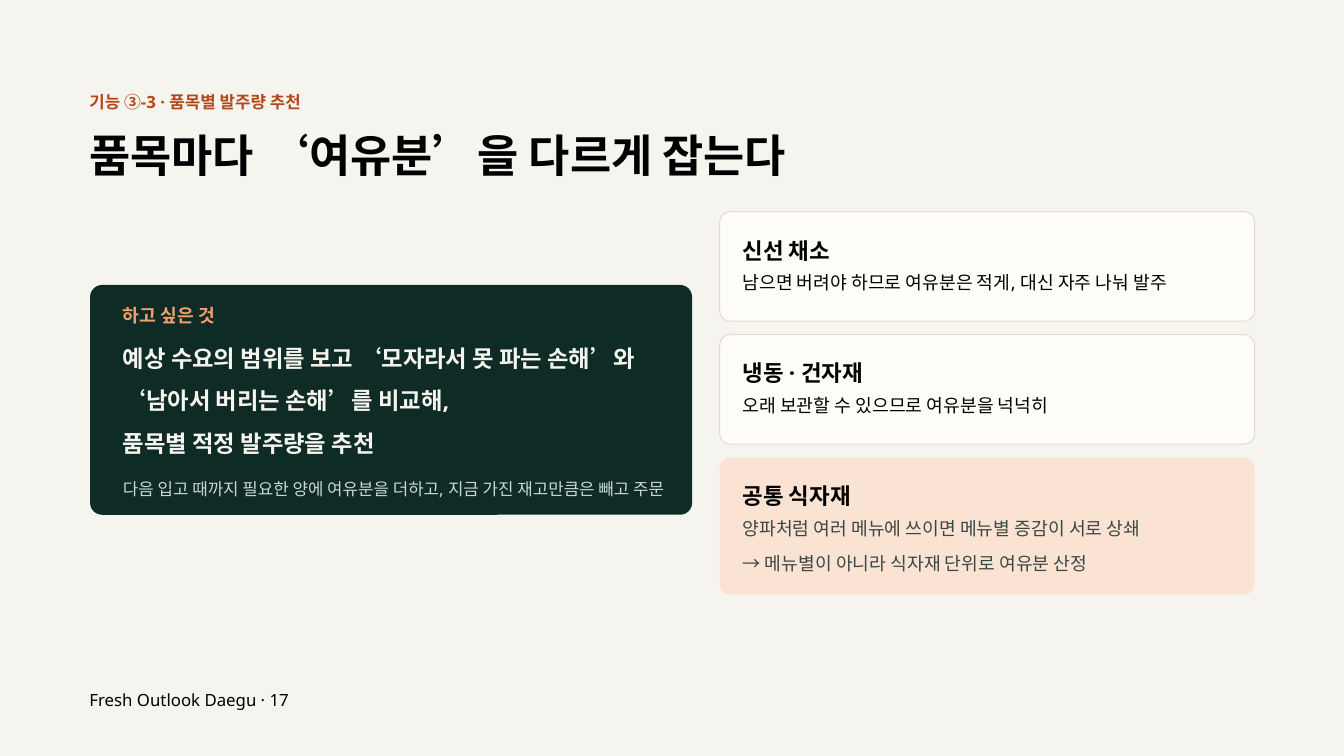
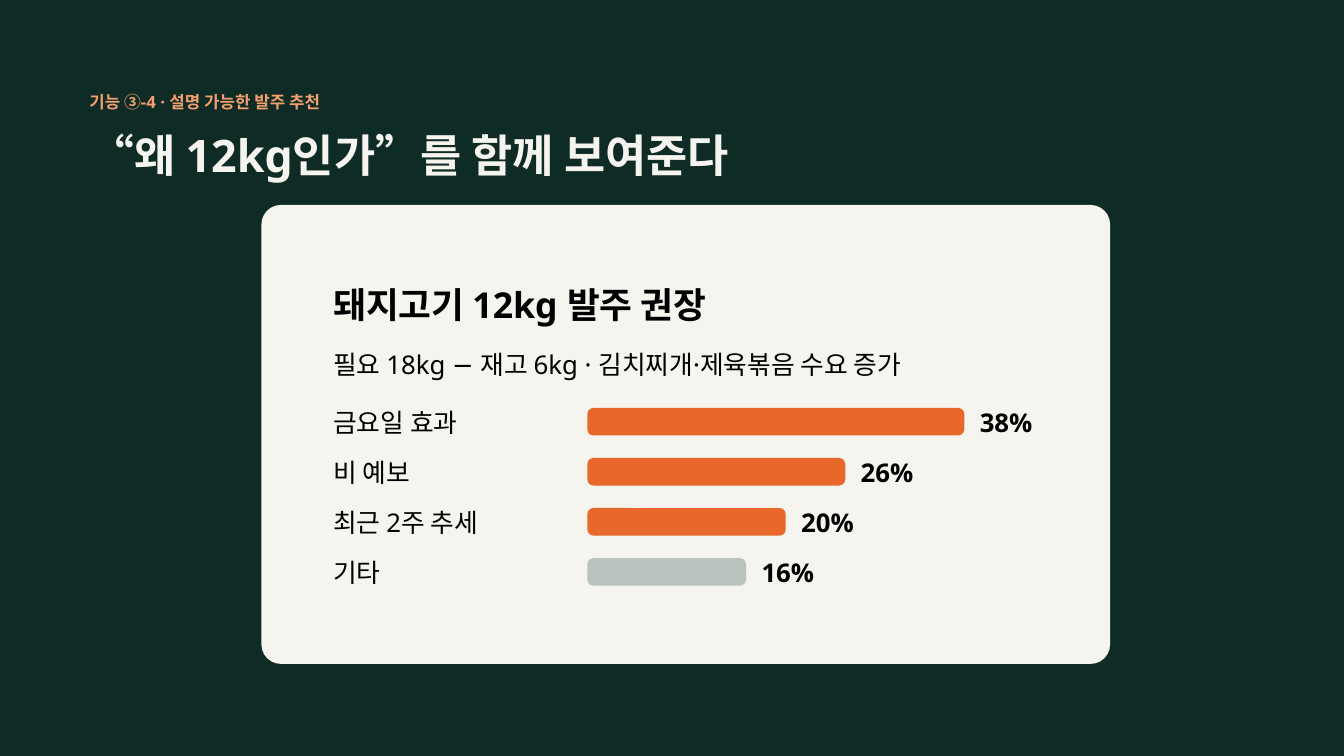
"""Builds two slides on recommended order quantities for restaurant ingredients."""
from pptx import Presentation
from pptx.dml.color import RGBColor
from pptx.enum.shapes import MSO_SHAPE
from pptx.enum.text import MSO_AUTO_SIZE
from pptx.util import Inches, Pt

ROUNDED = MSO_SHAPE.ROUNDED_RECTANGLE
GROW = MSO_AUTO_SIZE.SHAPE_TO_FIT_TEXT

FONT = "Noto Sans"
BLACK, PINE, IVORY = "000000", "0F2B26", "F6F4EE"
RUST, PEACH, ORANGE, SAGE = "B4481A", "F2A06E", "E8672A", "B9C4BF"
MIST, SLATE = "C9D8D2", "3A4743"
CREAM, BLUSH, SAND = "FFFDF8", "FBE3D3", "E2DDD0"

MARGIN, BAND_WIDTH = 1.33, 17.85

GOAL = [
    # top, height, lines, size, leading, colour, bold
    (4.4, 0.42, ["하고 싶은 것"], 19.5, 32.8, PEACH, True),
    (4.92, 2.41, ["예상 수요의 범위를 보고 ‘모자라서 못 파는 손해’와",
                  "‘남아서 버리는 손해’를 비교해,",
                  "품목별 적정 발주량을 추천"], 25, 45, IVORY, True),
    (6.94, 0.42, ["다음 입고 때까지 필요한 양에 여유분을 더하고, 지금 가진 재고만큼은 빼고 주문"],
     18, 34.6, MIST, False),
]

INGREDIENTS = [
    ("신선 채소", ["남으면 버려야 하므로 여유분은 적게, 대신 자주 나눠 발주"], CREAM, SAND, BLACK),
    ("냉동 · 건자재", ["오래 보관할 수 있으므로 여유분을 넉넉히"], CREAM, SAND, BLACK),
    ("공통 식자재", ["양파처럼 여러 메뉴에 쓰이면 메뉴별 증감이 서로 상쇄",
                 "→ 메뉴별이 아니라 식자재 단위로 여유분 산정"], BLUSH, None, SLATE),
]

REASONS = [
    ("금요일 효과", 38, ORANGE),
    ("비 예보", 26, ORANGE),
    ("최근 2주 추세", 20, ORANGE),
    ("기타", 16, SAGE),
]


def colour(code):
    return RGBColor.from_string(code)


def add_text(slide, box, lines, size, leading, ink=BLACK, bold=False):
    frame = slide.shapes.add_textbox(*map(Inches, box)).text_frame
    frame.margin_left = frame.margin_top = frame.margin_right = frame.margin_bottom = 0
    frame.word_wrap = True
    frame.auto_size = GROW
    frame.text = "\n".join(lines)
    for paragraph in frame.paragraphs:
        paragraph.line_spacing = Pt(leading)
        for run in paragraph.runs:
            run.font.name = FONT
            run.font.size = Pt(size)
            run.font.bold = bold
            run.font.color.rgb = colour(ink)


def add_panel(slide, box, radius, fill, border=None):
    panel = slide.shapes.add_shape(ROUNDED, *map(Inches, box))
    panel.adjustments[0] = radius / min(box[2:])
    panel.shadow.inherit = False
    panel.fill.solid()
    panel.fill.fore_color.rgb = colour(fill)
    if border:
        panel.line.color.rgb = colour(border)
        panel.line.width = Pt(1.13)
    else:
        panel.line.fill.background()


def add_slide(deck, backdrop, section, section_ink, title, title_ink):
    slide = deck.slides.add_slide(deck.slide_layouts[6])
    slide.background.fill.solid()
    slide.background.fill.fore_color.rgb = colour(backdrop)
    add_text(slide, (MARGIN, 1.25, BAND_WIDTH, 0.47), [section], 18, 30.2, section_ink, True)
    add_text(slide, (MARGIN, 1.74, BAND_WIDTH, 0.96), [title], 48, 69.1, title_ink, True)
    return slide


def build_margins(deck):
    slide = add_slide(deck, IVORY, "기능 ③-3 · 품목별 발주량 추천", RUST,
                      "품목마다 ‘여유분’을 다르게 잡는다", BLACK)
    add_panel(slide, (1.34, 4.24, 8.96, 3.42), 0.18, PINE)
    for top, height, lines, size, leading, ink, bold in GOAL:
        add_text(slide, (1.83, top, 8.43, height), lines, size, leading, ink, bold)

    left, top, width, gap = 10.71, 3.15, 7.96, 0.2
    for name, advice, fill, border, ink in INGREDIENTS:
        height = 1.22 + 0.41 * len(advice)
        add_panel(slide, (left, top, width, height), 0.16, fill, border)
        add_text(slide, (left + 0.34, top + 0.29, 7.49, 0.49), [name], 24, 34.6, bold=True)
        add_text(slide, (left + 0.34, top + 0.69, 7.49, height - 1), advice, 19.5, 37.4, ink)
        top += height + gap

    add_text(slide, (MARGIN, 10.15, BAND_WIDTH, 0.47), ["Fresh Outlook Daegu · 17"], 18, 30.2)


def build_reasons(deck):
    slide = add_slide(deck, PINE, "기능 ③-4 · 설명 가능한 발주 추천", PEACH,
                      "“왜 12kg인가”를 함께 보여준다", IVORY)
    add_panel(slide, (3.89, 3.05, 12.63, 6.83), 0.29, IVORY)
    left, bar_left, first_row, pitch, row_height = 4.96, 8.74, 5.87, 0.745, 0.73
    add_text(slide, (left, 4.08, 11.67, 0.8), ["돼지고기 12kg 발주 권장"], 38.2, 55.1, bold=True)
    add_text(slide, (left, 5.01, 11.67, row_height),
             ["필요 18kg − 재고 6kg · 김치찌개·제육볶음 수요 증가"], 27.6, 46.4)
    inches_per_percent = 5.61 / REASONS[0][1]
    for row, (reason, percent, fill) in enumerate(REASONS):
        top = first_row + row * pitch
        length = percent * inches_per_percent
        add_text(slide, (left, top, 3.66, row_height), [reason], 27.6, 46.4)
        add_panel(slide, (bar_left, top + 0.2, length, 0.41), 0.09, fill)
        add_text(slide, (bar_left + length + 0.23, top, 0.99, row_height),
                 [f"{percent}%"], 27.6, 46.4, bold=True)


def main():
    deck = Presentation()
    deck.slide_width, deck.slide_height = Inches(20), Inches(11.25)
    build_margins(deck)
    build_reasons(deck)
    deck.save("out.pptx")


if __name__ == "__main__":
    main()
